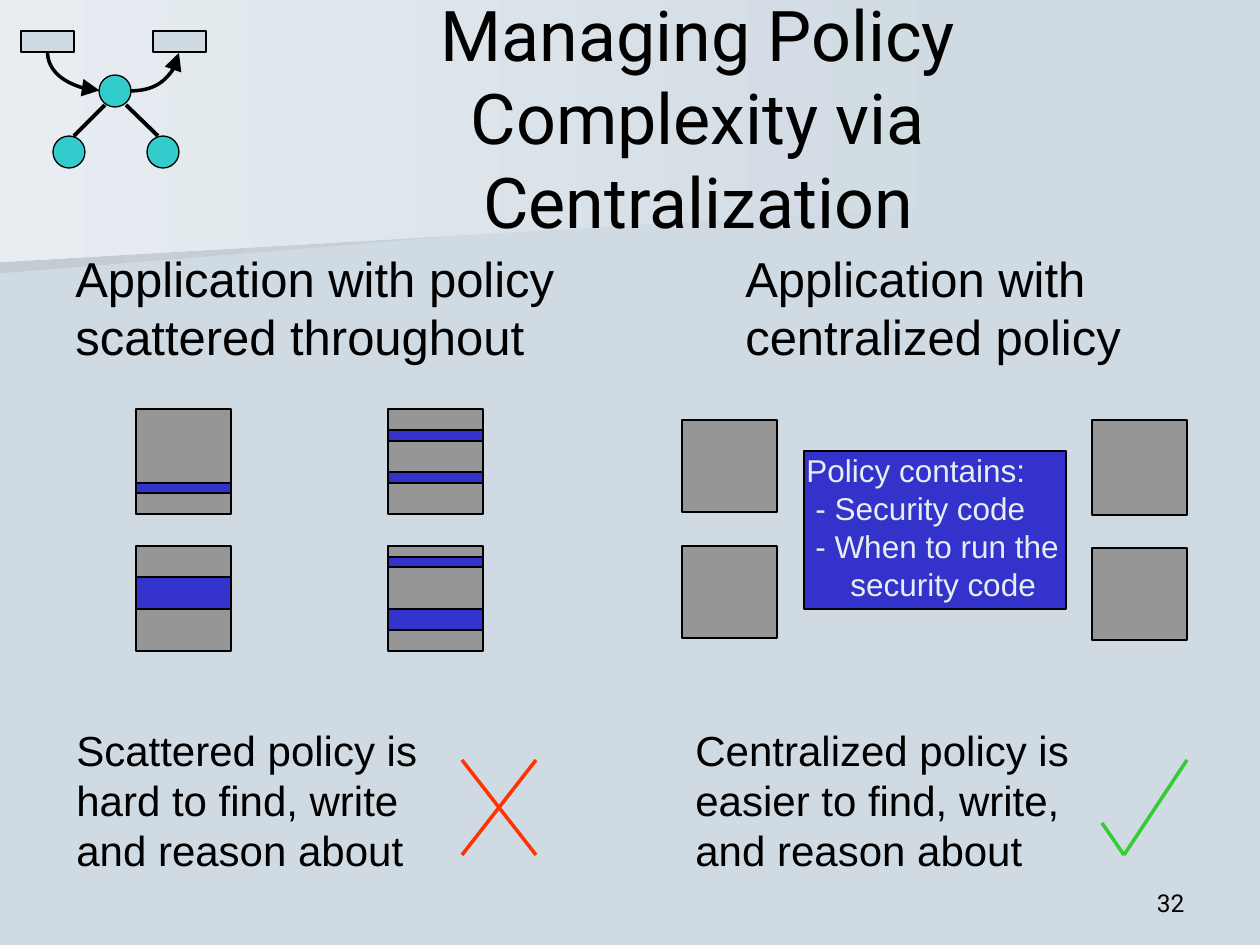
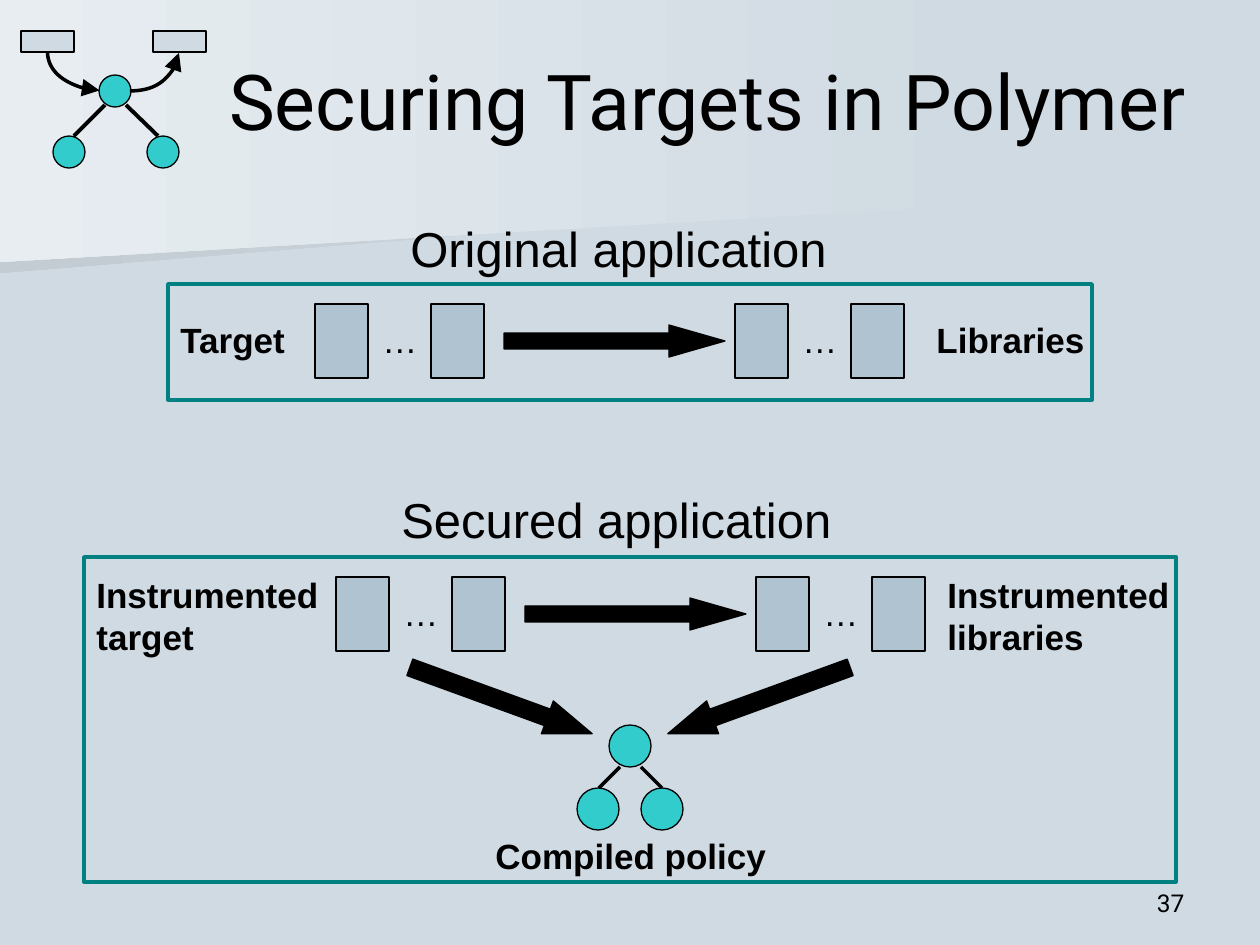
import pptx
import pptx.dml.color
import pptx.enum.shapes
import pptx.enum.text
import pptx.oxml.ns
import pptx.util
from lxml import etree

EMU_PER_PX = 914400 / 126
COLORS = {
    "background": "D0DAE2", "band": "E7EDF1", "band_edge": "C3CCD3",
    "black": "000000", "node": "33CCCC", "code": "969696", "policy": "3333CC",
    "policy_text": "E7EDF1", "module": "AFC3D1", "frame": "008080",
    "cross": "FF3300", "check": "33CC33",
}
SHAPES = pptx.enum.shapes.MSO_SHAPE
CONNECTORS = pptx.enum.shapes.MSO_CONNECTOR
ALIGN = pptx.enum.text.PP_ALIGN
ANCHOR = pptx.enum.text.MSO_ANCHOR
AUTO_SIZE = pptx.enum.text.MSO_AUTO_SIZE


def px(length):
    """Turn a length in px into EMU."""
    return pptx.util.Emu(round(length * EMU_PER_PX))


def rgb(name):
    """Look up a named colour."""
    return pptx.dml.color.RGBColor.from_string(COLORS[name])


def add_shape(slide, kind, box, fill=None, line="black", line_width=0.75):
    """Add a preset shape with a plain fill and outline."""
    shape = slide.shapes.add_shape(kind, *map(px, box))
    shape.shadow.inherit = False
    if fill:
        shape.fill.solid()
        shape.fill.fore_color.rgb = rgb(fill)
    else:
        shape.fill.background()
    shape.line.color.rgb = rgb(line)
    shape.line.width = pptx.util.Pt(line_width)
    return shape


def add_block_arrow(slide, box, head, rotation=0):
    """Add a solid black block arrow with the given head length."""
    arrow = add_shape(slide, SHAPES.RIGHT_ARROW, box, "black")
    arrow.adjustments[1] = head
    arrow.rotation = rotation


def add_line(slide, begin, end, color="black", width=2, kind=CONNECTORS.STRAIGHT):
    """Add a connector without shadow."""
    connector = slide.shapes.add_connector(kind, *map(px, begin + end))
    connector.line.color.rgb = rgb(color)
    connector.line.width = pptx.util.Pt(width)
    properties = connector._element.spPr
    etree.SubElement(properties, pptx.oxml.ns.qn("a:effectLst"))
    return connector


def add_curved_arrow(slide, begin, end, rotation=0):
    """Add a quarter-turn connector that ends in a large arrowhead."""
    connector = add_line(slide, begin, end, kind=CONNECTORS.CURVE)
    properties = connector._element.spPr
    properties.find(pptx.oxml.ns.qn("a:prstGeom")).set("prst", "curvedConnector2")
    if rotation:
        properties.find(pptx.oxml.ns.qn("a:xfrm")).set("rot", str(rotation * 60000))
    outline = properties.find(pptx.oxml.ns.qn("a:ln"))
    etree.SubElement(outline, pptx.oxml.ns.qn("a:tailEnd"),
                     type="triangle", w="lg", len="lg")


def add_text(slide, box, lines, size, font="Arial", color="black", bold=False,
             align=ALIGN.LEFT, anchor=ANCHOR.TOP, wrap=False, indents=None):
    """Add a text box with one paragraph per line."""
    frame = slide.shapes.add_textbox(*map(px, box)).text_frame
    frame.word_wrap = wrap
    frame.auto_size = AUTO_SIZE.NONE if wrap else AUTO_SIZE.SHAPE_TO_FIT_TEXT
    frame.vertical_anchor = anchor
    frame.text = "\n".join(lines)
    for paragraph, indent in zip(frame.paragraphs, indents or [0] * len(lines)):
        if indent:
            paragraph._p.get_or_add_pPr().set("marL", str(px(indent)))
        paragraph.alignment = align
        paragraph.line_spacing = pptx.util.Pt(round(size * 1.2, 1))
        paragraph.font.size = pptx.util.Pt(size)
        paragraph.font.name = font
        paragraph.font.bold = bold
        paragraph.font.color.rgb = rgb(color)


def add_band(slide, points, color):
    """Add a header band that fades into the background to the right."""
    builder = slide.shapes.build_freeform(*points[0], scale=EMU_PER_PX)
    builder.add_line_segments(points[1:], close=True)
    band = builder.convert_to_shape()
    band.shadow.inherit = False
    band.line.fill.background()
    band.fill.gradient()
    band.fill.gradient_angle = 180
    for stop, name in zip(band.fill.gradient_stops, ("background", color)):
        stop.color.rgb = rgb(name)


def add_emblem(slide):
    """Draw the policy tree diagram in the top left corner."""
    for left, top in ((53, 136), (147, 136), (99, 75)):
        add_shape(slide, SHAPES.OVAL, (left, top, 32, 32), "node")
    for left in (21, 153):
        add_shape(slide, SHAPES.RECTANGLE, (left, 31, 53, 21), "background")
    add_line(slide, (74, 136), (105, 105), width=2.25)
    add_line(slide, (126, 105), (158, 136), width=2.25)
    add_curved_arrow(slide, (93, 45), (54, 97), rotation=270)
    add_curved_arrow(slide, (130, 91), (179, 53))


def add_base_slide(presentation, title, title_box, title_size, number):
    """Add a slide with the shared background, emblem, title and number."""
    slide = presentation.slides.add_slide(presentation.slide_layouts[6])
    slide.background.fill.solid()
    slide.background.fill.fore_color.rgb = rgb("background")
    add_band(slide, [(981, 193), (0, 273), (0, 127), (982, 127), (981, 161)], "band_edge")
    add_band(slide, [(998, 204), (0, 262), (0, 0), (998, 0)], "band")
    add_emblem(slide)
    add_text(slide, title_box, [title], title_size, "Roboto",
             align=ALIGN.CENTER, anchor=ANCHOR.MIDDLE, wrap=True)
    add_text(slide, (903, 861, 294, 63), [number], 14, "Roboto",
             align=ALIGN.RIGHT, anchor=ANCHOR.BOTTOM, wrap=True)
    return slide


def add_code_block(slide, left, top, height, stripes=()):
    """Draw a code module with policy stripes given as offset and height."""
    add_shape(slide, SHAPES.RECTANGLE, (left, top, 95, height), "code")
    for offset, stripe_height in stripes:
        add_shape(slide, SHAPES.RECTANGLE, (left, top + offset, 95, stripe_height), "policy")


def add_module_row(slide, left, top):
    """Draw two pairs of modules joined by a block arrow."""
    for pair_left in (left, left + 420):
        for module_left in (pair_left, pair_left + 116):
            add_shape(slide, SHAPES.RECTANGLE, (module_left, top, 53, 74), "module")
        add_text(slide, (pair_left + 55, top + 8, 60, 55), ["…"], 20)
    add_block_arrow(slide, (left + 189, top + 21, 221, 32), 1.75)


def add_policy_tree(slide):
    """Draw the compiled policy as a root with two children."""
    for left, top in ((609, 725), (577, 788), (641, 788)):
        add_shape(slide, SHAPES.OVAL, (left, top, 42, 42), "node")
    add_line(slide, (599, 788), (620, 767))
    add_line(slide, (662, 788), (641, 767))


def build_centralization_slide(presentation):
    """Compare scattered policy with centralized policy."""
    slide = add_base_slide(presentation, "Managing Policy Complexity via Centralization",
                           (252, 38, 892, 158), 40, "32")
    add_text(slide, (63, 242, 504, 131),
             ["Application with policy\vscattered throughout"], 28)
    add_text(slide, (733, 242, 401, 131), ["Application with", "centralized policy"], 28)
    add_text(slide, (64, 718, 378, 164),
             ["Scattered policy is\vhard to find, write\vand reason about"], 24)
    add_text(slide, (683, 718, 410, 164),
             ["Centralized policy is\veasier to find, write,\vand reason about"], 24)

    add_code_block(slide, 136, 409, 105, [(74, 10)])
    add_code_block(slide, 388, 409, 105, [(21, 11), (63, 11)])
    add_code_block(slide, 136, 546, 105, [(31, 32)])
    add_code_block(slide, 388, 546, 105, [(11, 10), (63, 21)])
    for left, top, height in ((682, 420, 92), (682, 546, 92),
                              (1092, 420, 95), (1092, 548, 92)):
        add_code_block(slide, left, top, height)

    add_shape(slide, SHAPES.RECTANGLE, (804, 451, 262, 158), "policy")
    add_text(slide, (794, 445, 290, 164),
             ["Policy contains:", "- Security code", "- When to run the", "security code"],
             18, color="policy_text", wrap=True, indents=[0, 9, 9, 44])

    add_line(slide, (462, 760), (536, 855), "cross")
    add_line(slide, (462, 855), (536, 760), "cross")
    add_line(slide, (1102, 823), (1124, 855), "check")
    add_line(slide, (1124, 855), (1187, 760), "check")


def build_targets_slide(presentation):
    """Show an application before and after it is secured."""
    slide = add_base_slide(presentation, "Securing Targets in Polymer",
                           (199, 21, 1018, 158), 44, "37")
    add_text(slide, (398, 212, 441, 72), ["Original application"], 28)
    add_text(slide, (168, 312, 132, 55), ["Target"], 20, bold=True)
    add_text(slide, (924, 312, 173, 55), ["Libraries"], 20, bold=True)
    add_module_row(slide, 315, 304)
    add_shape(slide, SHAPES.RECTANGLE, (168, 284, 924, 116), line="frame", line_width=2)

    add_text(slide, (389, 483, 455, 72), ["Secured application"], 28)
    add_text(slide, (84, 567, 257, 97), ["Instrumented", "target"], 20, bold=True)
    add_text(slide, (935, 567, 247, 97), ["Instrumented", "libraries"], 20, bold=True)
    add_module_row(slide, 336, 577)
    add_block_arrow(slide, (404, 683, 194, 35), 1.36, rotation=20)
    add_block_arrow(slide, (662, 683, 194, 35), 1.36, rotation=160)
    add_policy_tree(slide)
    add_text(slide, (483, 828, 296, 55), ["Compiled policy"], 20, bold=True)
    add_shape(slide, SHAPES.RECTANGLE, (84, 557, 1092, 325), line="frame", line_width=2)


def main():
    """Build and save the presentation."""
    presentation = pptx.Presentation()
    presentation.slide_width = px(1260)
    presentation.slide_height = px(945)
    build_centralization_slide(presentation)
    build_targets_slide(presentation)
    presentation.save("out.pptx")


if __name__ == "__main__":
    main()
